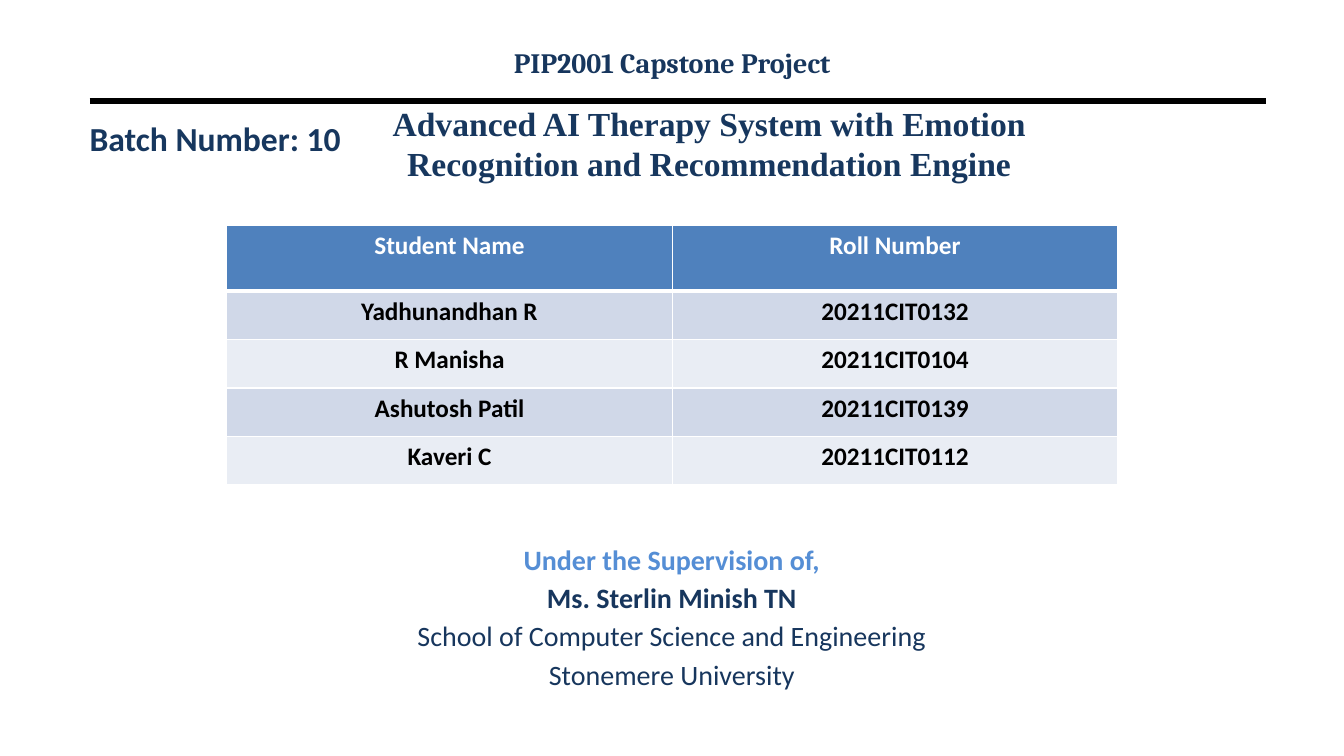
from dataclasses import dataclass

from lxml import etree
from pptx import Presentation
from pptx import util as u
from pptx.dml import color
from pptx.enum import shapes, text
from pptx.oxml import ns

NAVY, DEEP_NAVY, SKY = "17375E", "17365D", "558ED5"
WHITE, BLACK = "FFFFFF", "000000"
HEADER_FILL, BAND_FILLS = "4F81BD", ("D0D8E8", "E9EDF4")
LEFT, CENTER = text.PP_ALIGN.LEFT, text.PP_ALIGN.CENTER


@dataclass
class Line:
    words: str
    size: float
    colour: str
    bold: bool = True
    font: str = "Calibri"
    align: text.PP_ALIGN = CENTER
    before: float = 0


@dataclass
class Block:
    left: float
    top: float
    width: float
    height: float
    lines: list[Line]
    anchor: text.MSO_ANCHOR = text.MSO_ANCHOR.TOP
    bottom_inset: float = 3.6


def rgb(value: str) -> color.RGBColor:
    return color.RGBColor.from_string(value)


def write_line(paragraph, line: Line) -> None:
    paragraph.alignment = line.align
    paragraph.space_before = u.Pt(line.before)
    run = paragraph.add_run()
    run.text = line.words
    formats = {"name": line.font, "size": u.Pt(line.size), "bold": line.bold}
    for attribute, value in formats.items():
        setattr(run.font, attribute, value)
    run.font.color.rgb = rgb(line.colour)


def draw_block(slide, block: Block) -> None:
    box = slide.shapes.add_textbox(
        *map(u.Pt, (block.left, block.top, block.width, block.height)))
    frame = box.text_frame
    formats = {
        "word_wrap": True,
        "vertical_anchor": block.anchor,
        "margin_bottom": u.Pt(block.bottom_inset),
    }
    for attribute, value in formats.items():
        setattr(frame, attribute, value)
    for index, line in enumerate(block.lines):
        paragraph = frame.add_paragraph() if index else frame.paragraphs[0]
        write_line(paragraph, line)


def draw_rule(slide, left: float, right: float, top: float) -> None:
    rule = slide.shapes.add_connector(
        shapes.MSO_CONNECTOR.STRAIGHT, *map(u.Pt, (left, top, right, top)))
    rule.line.color.rgb = rgb(BLACK)
    rule.line.width = u.Pt(4.5)
    etree.SubElement(rule._element.spPr, ns.qn("a:effectLst"))


def set_borders(cell, widths: dict[str, float]) -> None:
    properties = cell._tc.get_or_add_tcPr()
    for index, (side, width) in enumerate(widths.items()):
        border = etree.Element(ns.qn(f"a:ln{side}"), w=str(int(u.Pt(width))))
        fill = etree.SubElement(border, ns.qn("a:solidFill"))
        etree.SubElement(fill, ns.qn("a:srgbClr"), val=WHITE)
        properties.insert(index, border)


def draw_table(slide, left: float, top: float, column_width: float,
               row_heights: list[float], rows: list[tuple[str, ...]]) -> None:
    columns = len(rows[0])
    frame = slide.shapes.add_table(
        len(rows), columns,
        *map(u.Pt, (left, top, column_width * columns, sum(row_heights))))
    table = frame.table
    for column in table.columns:
        column.width = u.Pt(column_width)
    for row_index, values in enumerate(rows):
        table.rows[row_index].height = u.Pt(row_heights[row_index])
        is_header = row_index == 0
        fill = HEADER_FILL if is_header else BAND_FILLS[(row_index - 1) % 2]
        widths = {"L": 1, "R": 1, "T": 3 if row_index == 1 else 1,
                  "B": 3 if is_header else 1}
        for column_index, value in enumerate(values):
            cell = table.cell(row_index, column_index)
            cell.fill.solid()
            cell.fill.fore_color.rgb = rgb(fill)
            set_borders(cell, widths)
            write_line(cell.text_frame.paragraphs[0],
                       Line(value, 18, WHITE if is_header else BLACK))


STUDENTS = [
    ("Student Name", "Roll Number"),
    ("Yadhunandhan R", "20211CIT0132"),
    ("R Manisha", "20211CIT0104"),
    ("Ashutosh Patil", "20211CIT0139"),
    ("Kaveri C", "20211CIT0112"),
]

BLOCKS = [
    # Project title, raised towards the rule by its deep bottom inset
    Block(234.72, 80.64, 543.6, 89.28, [
        Line("Advanced AI Therapy System with Emotion Recognition "
             "and Recommendation Engine", 24, NAVY, font="Times New Roman"),
    ], text.MSO_ANCHOR.MIDDLE, 50),
    # Batch number
    Block(56.88, 80.64, 312.48, 43.2,
          [Line("Batch Number: 10", 24, NAVY, align=LEFT)]),
    # Supervisor
    Block(285.12, 383.76, 389.52, 159.12, [
        Line("Under the Supervision of,", 20, SKY),
        Line("Ms. Sterlin Minish TN", 20, DEEP_NAVY, before=3.4),
        Line("School of Computer Science and Engineering", 20, DEEP_NAVY,
             bold=False, before=3.4),
        Line("Stonemere University", 20, DEEP_NAVY, bold=False, before=3.4),
    ]),
    # Course heading
    Block(324, 28.8, 312.48, 43.2,
          [Line("PIP2001 Capstone Project", 20, DEEP_NAVY, font="Cambria")]),
]


def main() -> None:
    presentation = Presentation()
    presentation.slide_width = u.Pt(960)
    presentation.slide_height = u.Pt(540)
    slide = presentation.slides.add_slide(presentation.slide_layouts[6])

    # Heading rule
    draw_rule(slide, 64.08, 904.32, 72)

    # Text
    for block in BLOCKS:
        draw_block(slide, block)

    # Student table
    row_heights = [46.8] + [34.56] * (len(STUDENTS) - 1)
    draw_table(slide, 162, 161.28, 318.24, row_heights, STUDENTS)

    presentation.save("out.pptx")


if __name__ == "__main__":
    main()
